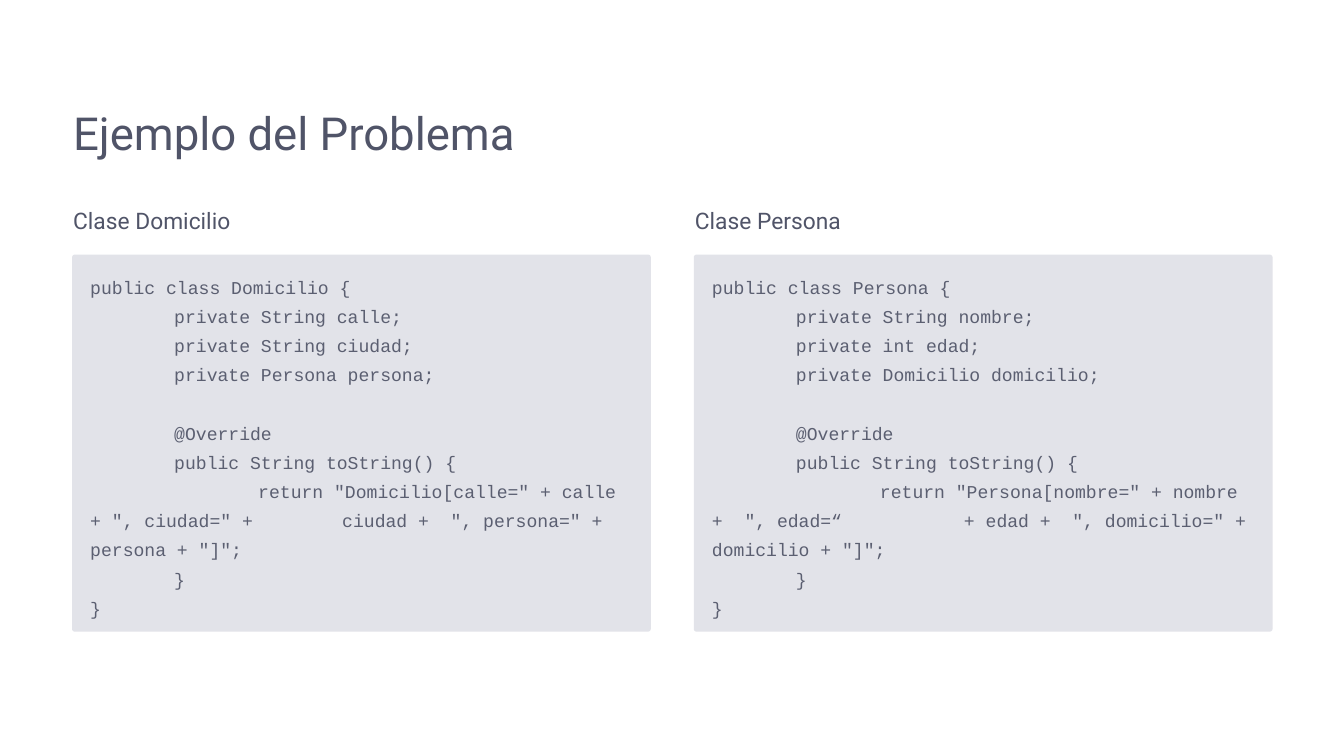
from lxml.etree import SubElement as Sub
from pptx import Presentation
from pptx.dml.color import RGBColor
from pptx.enum.shapes import MSO_SHAPE as Kind
from pptx.oxml.ns import qn
from pptx.util import Cm, Pt

INK = RGBColor(0x50, 0x54, 0x68)
CODE = RGBColor(0x5B, 0x5F, 0x71)
PANEL = RGBColor(0xE2, 0xE3, 0xE9)
TAB = Cm(2.54)

HOME = """public class Domicilio {
\tprivate String calle;
\tprivate String ciudad;
\tprivate Persona persona;

\t@Override
\tpublic String toString() {
\t\treturn "Domicilio[calle=" + calle + ", ciudad=" +\t\tciudad +  ", persona=" + persona + "]";
\t}
}"""
PERSON = """public class Persona {
\tprivate String nombre;
\tprivate int edad;
\tprivate Domicilio domicilio;
\t
\t@Override
\tpublic String toString() {
\t\treturn "Persona[nombre=" + nombre +  ", edad=“\t\t+ edad +  ", domicilio=" + domicilio + "]";
\t}
}"""


def add_text(slide, box, text, face, size, color, lead):
    """Place text with no margins and a fixed line pitch in the box."""
    frame = slide.shapes.add_textbox(*map(Cm, box)).text_frame
    frame.margin_left = frame.margin_right = 0
    frame.margin_top = frame.margin_bottom = 0
    frame.word_wrap = True
    frame.text = text
    for para in frame.paragraphs:
        para.line_spacing = Pt(lead)
        for run in para.runs:
            run.font.name = face
            run.font.size = Pt(size)
            run.font.color.rgb = color
    return frame


def add_tabs(frame):
    """Give every paragraph even tab stops."""
    for para in frame.paragraphs:
        stops = Sub(para._p.get_or_add_pPr(), qn("a:tabLst"))
        for step in range(1, 6):
            Sub(stops, qn("a:tab"), pos=str(TAB * step), algn="l")


def add_class(slide, box, head, code):
    """Draw a heading above a panel of code within the box."""
    left, top, width, height = box
    add_text(slide, (left + 0.03, top, width, 0.86), head,
             "Roboto", 19.5, INK, 24)
    drop = 1.48
    panel = slide.shapes.add_shape(
        Kind.ROUNDED_RECTANGLE,
        *map(Cm, (left, top + drop, width, height - drop)))
    panel.adjustments[0] = 0.007
    panel.shadow.inherit = False
    panel.fill.solid()
    panel.fill.fore_color.rgb = PANEL
    panel.line.fill.background()
    inner = (left + 0.55, top + drop + 0.43,
             width - 1.12, height - drop - 0.81)
    add_tabs(add_text(slide, inner, code, "Courier New", 15.5, CODE, 25))


def main():
    """Build and save the slide."""
    deck = Presentation()
    deck.slide_width, deck.slide_height = Cm(40.64), Cm(22.86)
    slide = deck.slides.add_slide(deck.slide_layouts[6])
    add_text(slide, (2.21, 3.12, 14.17, 1.73), "Ejemplo del Problema",
             "Roboto", 39, INK, 48.5)
    parts = (("Clase Domicilio", HOME), ("Clase Persona", PERSON))
    for col, (head, code) in enumerate(parts):
        add_class(slide, (2.18 + 18.8 * col, 6.22, 17.5, 12.88), head, code)
    deck.save("out.pptx")


if __name__ == "__main__":
    main()
